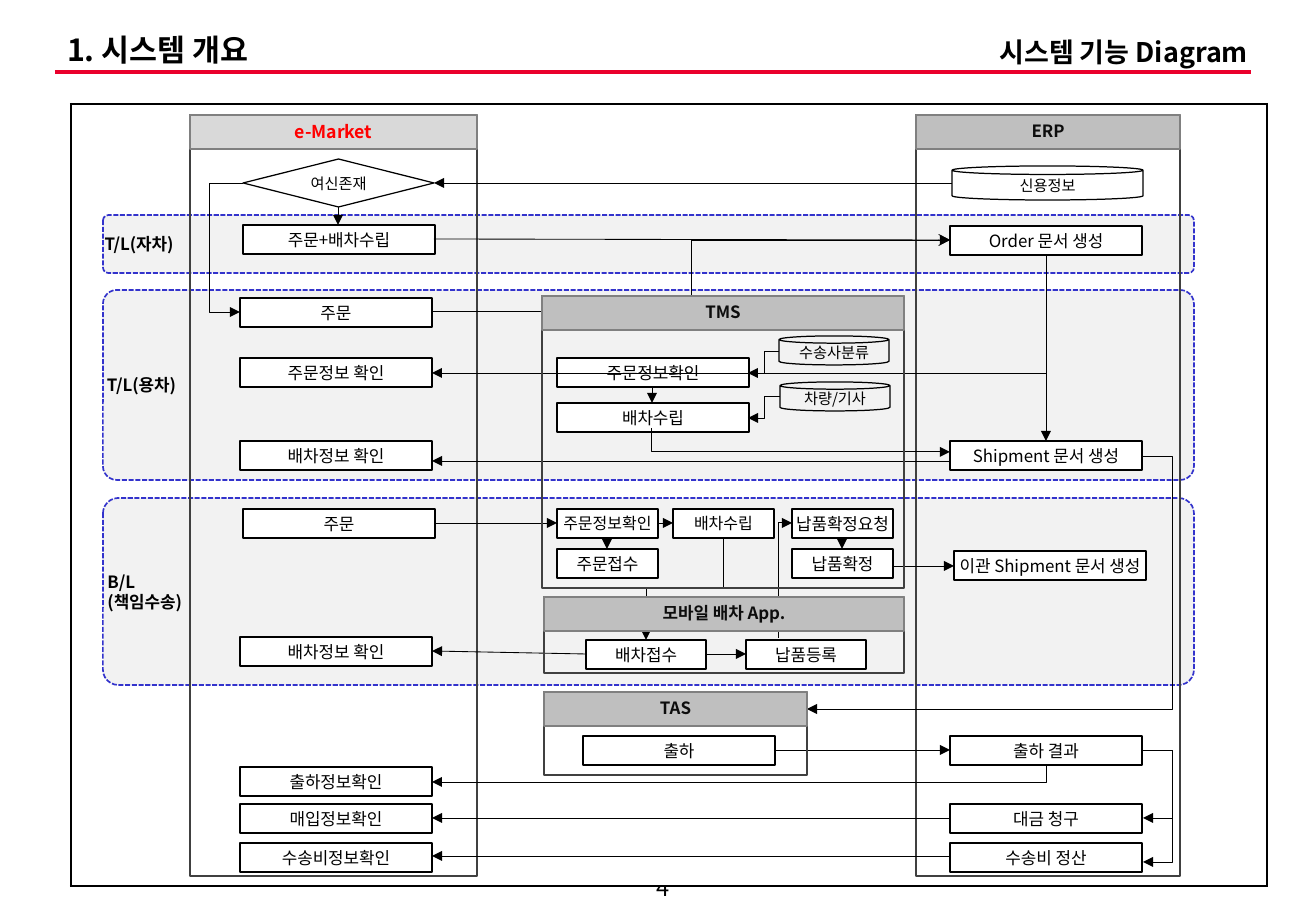
from dataclasses import dataclass

from lxml import etree
from pptx import Presentation
from pptx.dml.color import RGBColor
from pptx.enum.dml import MSO_LINE
from pptx.enum.shapes import MSO_CONNECTOR, MSO_SHAPE
from pptx.enum.text import MSO_ANCHOR, MSO_AUTO_SIZE, PP_ALIGN
from pptx.oxml.ns import qn
from pptx.util import Emu, Pt

RECT, ROUND = MSO_SHAPE.RECTANGLE, MSO_SHAPE.ROUNDED_RECTANGLE
CAN, DIAMOND = MSO_SHAPE.CAN, MSO_SHAPE.DIAMOND
STRAIGHT, ELBOW = MSO_CONNECTOR.STRAIGHT, MSO_CONNECTOR.ELBOW
LEFT, CENTER, RIGHT = PP_ALIGN.LEFT, PP_ALIGN.CENTER, PP_ALIGN.RIGHT
TOP, MIDDLE = MSO_ANCHOR.TOP, MSO_ANCHOR.MIDDLE
NO_FIT = MSO_AUTO_SIZE.NONE
SYS_DASH = MSO_LINE.SQUARE_DOT
SCALE = 914400 / 121.5


@dataclass(frozen=True)
class Theme:
    font: str = "Noto Sans CJK KR"
    black: str = "000000"
    white: str = "FFFFFF"
    rule: str = "EA002C"
    region: str = "F2F2F2"
    region_line: str = "3333CC"
    lane_line: str = "404040"
    header_line: str = "808080"
    header: str = "BFBFBF"
    market: str = "D9D9D9"
    market_text: str = "FF0000"
    header_text: str = "0D0D0D"
    title: float = 18
    subtitle: float = 16
    page: float = 14
    market_size: float = 10.5
    body: float = 10
    tight: float = 9.5
    small: float = 9


T = Theme()


def px(n):
    return Emu(round(n * SCALE))


def rgb(color):
    return RGBColor.from_string(color)


def write(tf, text, size=T.body, color=T.black, bold=False, align=CENTER,
          anchor=MIDDLE, insets=(12, 6), wrap=False):
    tf.auto_size = NO_FIT
    tf.word_wrap = wrap
    tf.vertical_anchor = anchor
    tf.margin_left = tf.margin_right = px(insets[0])
    tf.margin_top = tf.margin_bottom = px(insets[1])
    for i, words in enumerate(text.split("\n")):
        p = tf.add_paragraph() if i else tf.paragraphs[0]
        p.alignment = align
        r = p.add_run()
        r.text = words
        f = r.font
        f.name, f.size, f.bold = T.font, Pt(size), bold
        f.color.rgb = rgb(color)
        etree.SubElement(r._r.get_or_add_rPr(), qn("a:ea"), typeface=T.font)


def add_label(slide, text, x, y, w, h, **fmt):
    write(slide.shapes.add_textbox(px(x), px(y), px(w), px(h)).text_frame, text, **fmt)


def add_node(slide, kind, x, y, w, h, fill=None, line=T.black, width=0.75):
    sp = slide.shapes.add_shape(kind, px(x), px(y), px(w), px(h))
    sp.shadow.inherit = False
    if fill:
        sp.fill.solid()
        sp.fill.fore_color.rgb = rgb(fill)
    else:
        sp.fill.background()
    sp.line.color.rgb = rgb(line)
    sp.line.width = Pt(width)
    return sp


def add_region(slide, text, y, h, adj):
    sp = add_node(slide, ROUND, 103, y, 1091, h, T.region, T.region_line, 1)
    sp.adjustments[0] = adj
    sp.line.dash_style = SYS_DASH
    write(sp.text_frame, text, bold=True, align=LEFT, insets=(0, 0), wrap=True)


def add_lane(slide, text, x, y, w, h, fill=T.header, color=T.header_text, size=T.body):
    add_node(slide, RECT, x, y, w, h, line=T.lane_line)
    sp = add_node(slide, RECT, x, y, w, 34, fill, T.header_line)
    write(sp.text_frame, text, size, color, True, anchor=TOP, insets=(5, 6))


def add_box(slide, text, x, y, w=192, size=T.body):
    write(add_node(slide, RECT, x, y, w, 29, T.white, width=1).text_frame, text, size)


def add_symbol(slide, kind, text, x, y, w, h):
    write(add_node(slide, kind, x, y, w, h).text_frame, text, T.small,
          insets=(11, 5), wrap=True)


def add_line(slide, kind, x1, y1, x2, y2, color=T.black, width=0.5, end="tailEnd", head="triangle"):
    cn = slide.shapes.add_connector(kind, px(x1), px(y1), px(x2), px(y2))
    cn.line.color.rgb = rgb(color)
    cn.line.width = Pt(width)
    spPr = cn._element.spPr
    if head:
        etree.SubElement(spPr.get_or_add_ln(), qn(f"a:{end}"), type=head)
    etree.SubElement(spPr, qn("a:effectLst"))
    return spPr


def add_elbow(slide, x1, y1, x2, y2, via):
    geom = add_line(slide, ELBOW, x1, y1, x2, y2).find(qn("a:prstGeom"))
    adj = round((via - x1) / (x2 - x1) * 100000)
    etree.SubElement(geom.find(qn("a:avLst")), qn("a:gd"), name="adj1", fmla=f"val {adj}")


def add_corner(slide, x1, y1, x2, y2):
    spPr = add_line(slide, ELBOW, x2, y2, x1, y1, end="headEnd")
    spPr.find(qn("a:prstGeom")).set("prst", "bentConnector2")


def add_drop(slide, x1, y1, x2, y2):
    cx, cy, w, h = (x1 + x2) / 2, (y1 + y2) / 2, y2 - y1, x1 - x2
    spPr = add_line(slide, ELBOW, cx - w / 2, cy - h / 2, cx + w / 2, cy + h / 2)
    spPr.find(qn("a:xfrm")).set("rot", "5400000")


def add_frame(slide, x, y, w, h):
    table = slide.shapes.add_table(1, 1, px(x), px(y), px(w), px(h)).table
    table.first_row = table.horz_banding = False
    cell = table.cell(0, 0)
    tcPr = cell._tc.get_or_add_tcPr()
    for side in ("lnL", "lnR", "lnT", "lnB"):
        ln = etree.SubElement(tcPr, qn(f"a:{side}"), w=str(Pt(1.5)))
        fill = etree.SubElement(ln, qn("a:solidFill"))
        etree.SubElement(fill, qn("a:srgbClr"), val=T.black)
    cell.fill.solid()
    cell.fill.fore_color.rgb = rgb(T.white)


def add_heading(slide):
    title = slide.shapes.title
    title.left, title.top, title.width, title.height = px(55), px(29), px(976), px(45)
    write(title.text_frame, "1. 시스템 개요", T.title, bold=True, align=LEFT, wrap=True)
    title.text_frame.paragraphs[0].line_spacing = 0.9
    add_label(slide, "시스템 기능 Diagram", 927, 30, 333, 45, size=T.subtitle,
              bold=True, align=RIGHT, anchor=TOP, wrap=True)
    add_line(slide, STRAIGHT, 55, 72, 1251, 72, T.rule, 2.25, head=None)


def main():
    prs = Presentation()
    prs.slide_width, prs.slide_height = px(1316), px(911)
    slide = prs.slides.add_slide(prs.slide_layouts[5])
    add_label(slide, "4", 620, 868, 86, 38, size=T.page)
    add_heading(slide)
    add_frame(slide, 71, 104, 1196, 782)

    for region in (("T/L(자차)", 215, 58, 0.095), ("T/L(용차)", 290, 190, 0.073),
                   ("B/L\n(책임수송)", 498, 187, 0.082)):
        add_region(slide, *region)
    add_lane(slide, "e-Market", 190, 115, 287, 761, T.market, T.market_text, T.market_size)
    add_lane(slide, "ERP", 916, 115, 264, 761)

    for symbol in ((DIAMOND, "여신존재", 243, 159, 191, 48),
                   (CAN, "신용정보", 952, 166, 191, 34),
                   (CAN, "수송사분류", 779, 336, 110, 29),
                   (CAN, "차량/기사", 780, 382, 110, 29)):
        add_symbol(slide, *symbol)

    market = (("주문", 298), ("주문정보 확인", 358), ("배차정보 확인", 441), ("배차정보 확인", 637),
              ("출하정보확인", 767), ("매입정보확인", 804), ("수송비정보확인", 843))
    erp = (("Order 문서 생성", 226), ("Shipment 문서 생성", 441), ("출하 결과", 736),
           ("대금 청구", 804), ("수송비 정산", 843))
    for x, boxes in ((240, market), (950, erp)):
        for text, y in boxes:
            add_box(slide, text, x, y)
    for box in (("주문+배차수립", 243, 225), ("주문", 243, 509),
                ("이관 Shipment 문서 생성", 954, 551),
                ("주문정보확인", 557, 358), ("배차수립", 557, 403), ("출하", 583, 736),
                ("주문정보확인", 557, 509, 101, T.tight), ("주문접수", 557, 549, 101),
                ("배차수립", 673, 509, 101, T.tight), ("납품확정요청", 792, 509, 101),
                ("납품확정", 792, 549, 101), ("배차접수", 586, 640, 120), ("납품등록", 746, 640, 120)):
        add_box(slide, *box)

    for arrow in ((952, 183, 434, 183), (338, 207, 338, 225), (1046, 255, 1046, 441),
                  (774, 750, 950, 750), (950, 856, 432, 856), (950, 818, 432, 818),
                  (652, 387, 652, 403), (950, 461, 432, 461), (893, 566, 954, 566),
                  (434, 523, 557, 523), (706, 654, 746, 654), (658, 523, 673, 523),
                  (607, 538, 607, 549), (842, 538, 842, 549), (586, 654, 432, 651)):
        add_line(slide, STRAIGHT, *arrow)
    add_line(slide, STRAIGHT, 434, 239, 950, 240, head="arrow")

    for elbow in ((1142, 750, 1143, 818, 1172), (1142, 750, 1143, 862, 1172),
                  (432, 312, 950, 240, 691), (243, 183, 240, 312, 210),
                  (779, 351, 748, 373, 764), (780, 396, 748, 418, 764),
                  (1142, 456, 807, 709, 1172)):
        add_elbow(slide, *elbow)
    for corner in ((1046, 255, 432, 373), (652, 428, 950, 452),
                   (1046, 765, 432, 782), (779, 638, 792, 523)):
        add_corner(slide, *corner)
    add_drop(slide, 723, 538, 646, 640)

    for system in (("TAS", 544, 692, 263, 83), ("TMS", 542, 296, 362, 292),
                   ("모바일 배차 App.", 544, 597, 360, 76)):
        add_lane(slide, *system)
    prs.save("out.pptx")


main()
